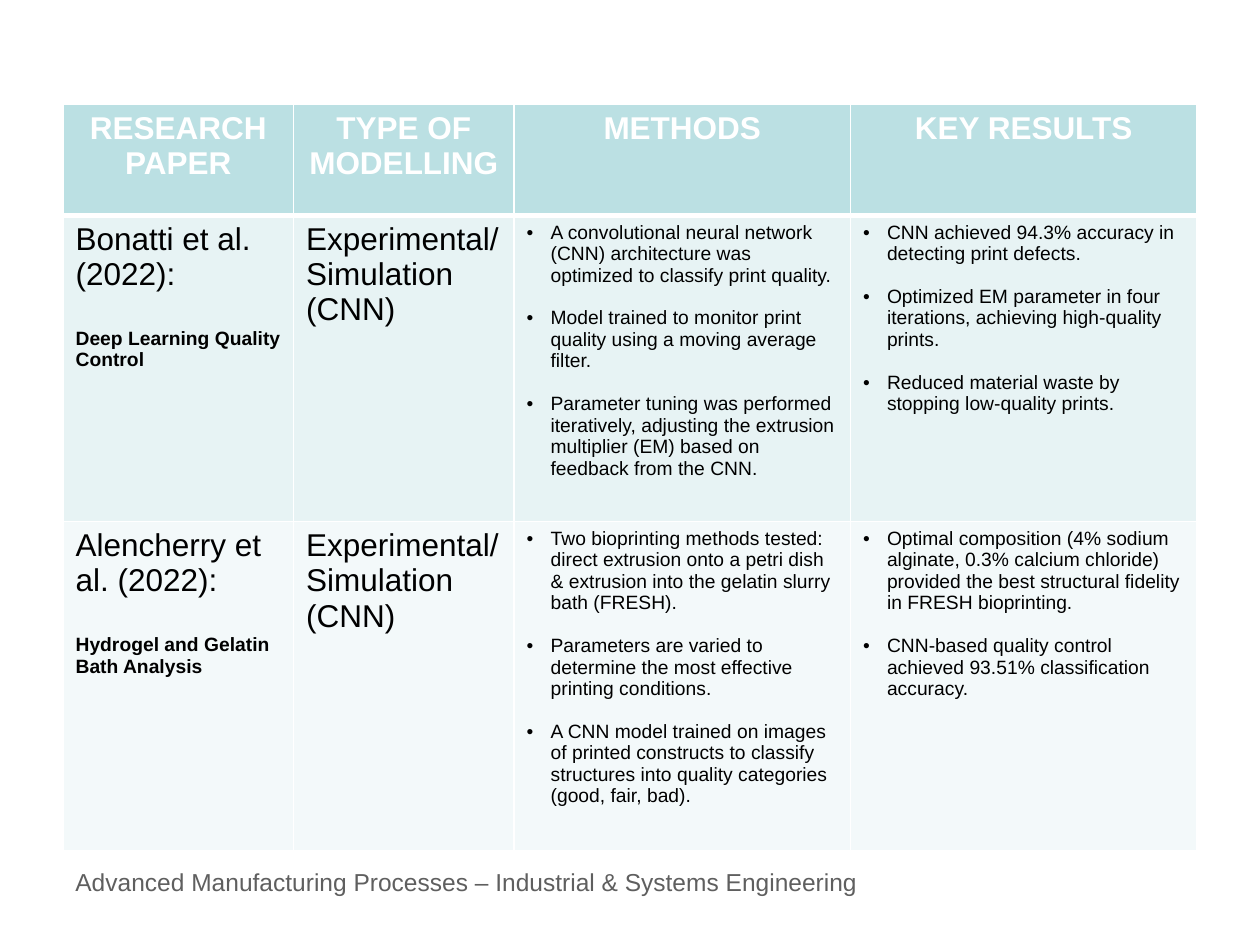
from lxml import etree
from pptx import Presentation
from pptx import util as u
from pptx.dml.color import RGBColor
from pptx.enum import text
from pptx.oxml import ns

WHITE = RGBColor(0xFF, 0xFF, 0xFF)
BLACK = RGBColor(0, 0, 0)
GREY = RGBColor(0x5F, 0x5F, 0x5F)
HEADER_FILL = RGBColor(0xBB, 0xE0, 0xE3)
ROW_FILLS = [RGBColor(0xE7, 0xF3, 0xF4), RGBColor(0xF3, 0xF9, 0xFA)]

COLUMN_WIDTHS = [1.83, 1.75, 2.67, 2.75]
ROW_HEIGHTS = [0.88, 2.43, 2.61]
HEADINGS = ["RESEARCH PAPER", "TYPE OF MODELLING", "METHODS", "KEY RESULTS"]

# Each study: paper, topic, type of modelling, methods, key results
STUDIES = [
    ("Bonatti et al. (2022):", "Deep Learning Quality Control",
     "Experimental/ Simulation (CNN)",
     ["A convolutional neural network (CNN) architecture was optimized to classify print quality.",
      "Model trained to monitor print quality using a moving average filter.",
      "Parameter tuning was performed iteratively, adjusting the extrusion multiplier (EM) "
      "based on feedback from the CNN."],
     ["CNN achieved 94.3% accuracy in detecting print defects.",
      "Optimized EM parameter in four iterations, achieving high-quality prints.",
      "Reduced material waste by stopping low-quality prints."]),
    ("Alencherry et al. (2022):", "Hydrogel and Gelatin Bath Analysis",
     "Experimental/ Simulation (CNN)",
     ["Two bioprinting methods tested: direct extrusion onto a petri dish & extrusion into "
      "the gelatin slurry bath (FRESH).",
      "Parameters are varied to determine the most effective printing conditions.",
      "A CNN model trained on images of printed constructs to classify structures into "
      "quality categories (good, fair, bad)."],
     ["Optimal composition (4% sodium alginate, 0.3% calcium chloride) provided the best "
      "structural fidelity in FRESH bioprinting.",
      "CNN-based quality control achieved 93.51% classification accuracy."]),
]


def write(frame, words, *, size=18, color=BLACK, bold=False, align=None,
          before=0, bullet=False, font="Arial"):
    """Fill the empty first paragraph of a frame, or add another one."""
    first = frame.paragraphs[0]
    paragraph = frame.add_paragraph() if first.runs else first
    if bullet:
        props = paragraph._p.get_or_add_pPr()
        props.set("marL", str(u.Inches(0.19)))
        props.set("indent", str(-u.Inches(0.19)))
        etree.SubElement(props, ns.qn("a:buFont"), typeface=font)
        etree.SubElement(props, ns.qn("a:buChar"), char="•")
    if before:
        paragraph.space_before = u.Pt(before)
    if align is not None:
        paragraph.alignment = align
    run = paragraph.add_run()
    run.text = words
    run.font.name, run.font.size, run.font.bold = font, u.Pt(size), bold
    run.font.color.rgb = color


class SlideBuilder:
    small = 11
    bullet_gap = 12.3
    topic_gap = 20.5

    def __init__(self, slide):
        self.slide = slide

    def footer(self, words):
        box = self.slide.shapes.add_textbox(
            u.Inches(0.5), u.Inches(6.83), u.Inches(6.58), u.Inches(0.34))
        box.text_frame.word_wrap = True
        write(box.text_frame, words, size=14, color=GREY)

    def table(self, left, top, widths, heights):
        frame = self.slide.shapes.add_table(
            len(heights), len(widths), u.Inches(left), u.Inches(top),
            u.Inches(sum(widths)), u.Inches(sum(heights)))
        grid = frame.table
        for column, width in zip(grid.columns, widths):
            column.width = u.Inches(width)
        for row, height in zip(grid.rows, heights):
            row.height = u.Inches(height)
        return grid

    def cell(self, cell, fill, top=1, bottom=1):
        cell.fill.solid()
        cell.fill.fore_color.rgb = fill
        props = cell._tc.get_or_add_tcPr()
        for place, (side, width) in enumerate(
                [("L", 1), ("R", 1), ("T", top), ("B", bottom)]):
            line = etree.Element(ns.qn(f"a:ln{side}"), w=str(u.Pt(width)))
            paint = etree.SubElement(line, ns.qn("a:solidFill"))
            etree.SubElement(paint, ns.qn("a:srgbClr"), val=str(WHITE))
            props.insert(place, line)
        return cell.text_frame

    def bullets(self, frame, items):
        for number, item in enumerate(items):
            write(frame, item, size=self.small, bullet=True,
                  before=self.bullet_gap if number else 0)


def main():
    deck = Presentation()
    deck.slide_width, deck.slide_height = u.Inches(10), u.Inches(7.5)
    builder = SlideBuilder(deck.slides.add_slide(deck.slide_layouts[6]))

    # Footer
    builder.footer("Advanced Manufacturing Processes – Industrial & Systems Engineering")

    # Table header
    studies_table = builder.table(0.5, 0.83, COLUMN_WIDTHS, ROW_HEIGHTS)
    for column, heading in enumerate(HEADINGS):
        frame = builder.cell(studies_table.cell(0, column), HEADER_FILL, bottom=3)
        write(frame, heading, color=WHITE, bold=True, align=text.PP_ALIGN.CENTER)

    # One row per study
    for row, (study, fill) in enumerate(zip(STUDIES, ROW_FILLS), start=1):
        paper, topic, modelling, methods, results = study
        paper_cell, modelling_cell, methods_cell, results_cell = [
            builder.cell(cell, fill, top=3 if row == 1 else 1)
            for cell in studies_table.rows[row].cells]
        write(paper_cell, paper)
        write(paper_cell, topic, size=builder.small, bold=True, before=builder.topic_gap)
        write(modelling_cell, modelling)
        builder.bullets(methods_cell, methods)
        builder.bullets(results_cell, results)

    deck.save("out.pptx")


if __name__ == "__main__":
    main()
